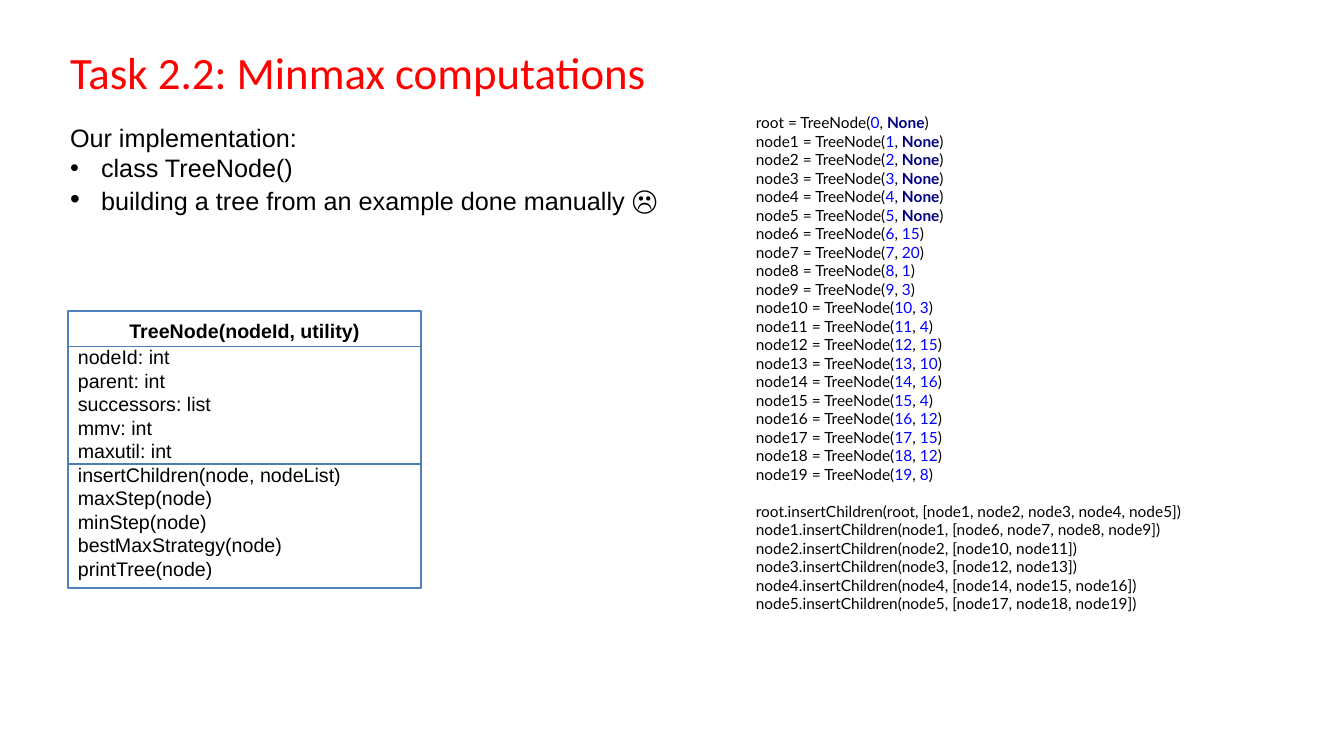
from itertools import accumulate
from lxml import etree
from pptx import Presentation
from pptx.dml.color import RGBColor
from pptx.enum.shapes import MSO_CONNECTOR as CONN, MSO_SHAPE as SHAPE
from pptx.enum.text import MSO_ANCHOR as ANCHOR, MSO_AUTO_SIZE as AUTO, PP_ALIGN as ALIGN
from pptx.oxml.ns import qn
from pptx.util import Emu, Pt

PX = 914400 / 100.8
COLORS = {"title": "FF0000", "text": "000000", "paper": "FFFFFF", "border": "4F81BD",
          "divider": "4A7DBA", "number": "0000FF", "keyword": "000080"}
TITLE_FMT = {"name": "Calibri", "size": Pt(32), "bold": False}
LIST_FMT = {"name": "Arial", "size": Pt(18)}
UML_FMT = {"name": "Arial", "size": Pt(14)}
CODE_FMT = {"name": "Lato", "size": Pt(11)}

ATTRIBUTES = ["nodeId: int", "parent: int", "successors: list", "mmv: int", "maxutil: int"]
METHODS = ["insertChildren(node, nodeList)", "maxStep(node)", "minStep(node)",
           "bestMaxStrategy(node)", "printTree(node)"]
UTILITIES = ["None"] * 6 + [15, 20, 1, 3, 3, 4, 15, 10, 16, 4, 12, 15, 12, 8]
CHILD_COUNTS = [5, 4, 2, 2, 3, 3]


def px(n):
    return Emu(round(n * PX))


def rgb(name):
    return RGBColor.from_string(COLORS[name])


def place(sp, box):
    for attr, n in zip(("left", "top", "width", "height"), box):
        setattr(sp, attr, px(n))


def add_run(p, text, fmt, color="text", **extra):
    r = p.add_run()
    r.text = text
    for attr, value in {**fmt, **extra}.items():
        setattr(r.font, attr, value)
    r.font.color.rgb = rgb(color)


def next_paragraph(tf, first, align=ALIGN.LEFT, before=0):
    p = tf.paragraphs[0] if first else tf.add_paragraph()
    for attr, value in {"alignment": align, "space_before": Pt(before)}.items():
        setattr(p, attr, value)
    return p


def set_bullet(p, char=None, indent=0, size=100):
    pPr = p._p.get_or_add_pPr()
    pPr.set("marL", str(px(indent)))
    pPr.set("indent", str(-px(indent)))
    if char:
        etree.SubElement(pPr, qn("a:buSzPct")).set("val", str(size * 1000))
        etree.SubElement(pPr, qn("a:buFont")).set("typeface", "Arial")
        etree.SubElement(pPr, qn("a:buChar")).set("char", char)
    else:
        etree.SubElement(pPr, qn("a:buNone"))


def add_panel(shapes, kind, box, line=None):
    sp = shapes.add_shape(kind, *map(px, box))
    sp.shadow.inherit = False
    sp.fill.solid()
    sp.fill.fore_color.rgb = rgb("paper")
    if line:
        sp.line.color.rgb = rgb(line)
        sp.line.width = Pt(2)
    else:
        sp.line.fill.background()
    tf = sp.text_frame
    tf.word_wrap, tf.vertical_anchor = True, ANCHOR.MIDDLE
    return tf


def add_title(s, box):
    place(s.shapes.title, box)
    tf = s.shapes.title.text_frame
    for attr, value in {"auto_size": AUTO.NONE, "vertical_anchor": ANCHOR.MIDDLE,
                        "margin_bottom": px(34)}.items():
        setattr(tf, attr, value)
    add_run(next_paragraph(tf, True), "Task 2.2: Minmax computations", TITLE_FMT, "title")


def add_summary(s, box):
    sp = s.placeholders[1]
    place(sp, box)
    tf = sp.text_frame
    tf.auto_size = AUTO.NONE
    items = [("Our implementation:", None, 0, 100),
             ("class TreeNode()", "•", 31, 100),
             ("building a tree from an example done manually ", "•", 31, 111)]
    for i, (text, *bullet) in enumerate(items):
        p = next_paragraph(tf, i == 0)
        set_bullet(p, *bullet)
        add_run(p, text, LIST_FMT)
    add_run(p, "☹", LIST_FMT, size=Pt(20))


def add_class_diagram(s, box):
    left, top, width, _ = box
    grp = s.shapes.add_group_shape().shapes
    tf = add_panel(grp, SHAPE.FLOWCHART_PROCESS, box, "border")
    add_run(next_paragraph(tf, True, ALIGN.CENTER), "TreeNode(nodeId, utility)", UML_FMT, bold=True)
    # Space above the first attribute keeps it clear of the divider
    for i, member in enumerate(ATTRIBUTES + METHODS):
        add_run(next_paragraph(tf, False, before=2 if i == 0 else 0), member, UML_FMT)
    # Dividers below the class name and the attributes
    for dy in (36, 153):
        y = px(top + dy)
        line = grp.add_connector(CONN.STRAIGHT, px(left), y, px(left + width), y)
        line.line.color.rgb = rgb("divider")
        line.line.width = Pt(0.75)
        etree.SubElement(line._element.spPr, qn("a:effectLst"))


def add_code(s, box):
    tf = add_panel(s.shapes, SHAPE.RECTANGLE, box)
    names = ["root"] + [f"node{i}" for i in range(1, len(UTILITIES))]
    # Node definitions
    for i, (name, utility) in enumerate(zip(names, UTILITIES)):
        p = next_paragraph(tf, i == 0)
        is_none = utility == "None"
        add_run(p, f"{name} = TreeNode(", CODE_FMT)
        add_run(p, str(i), CODE_FMT, "number")
        add_run(p, ", ", CODE_FMT)
        add_run(p, str(utility), CODE_FMT, "keyword" if is_none else "number", bold=is_none)
        add_run(p, ")", CODE_FMT)
    # Children are numbered level by level
    for i, (start, count) in enumerate(zip(accumulate(CHILD_COUNTS, initial=1), CHILD_COUNTS)):
        children = ", ".join(names[start:start + count])
        p = next_paragraph(tf, False, before=13.2 if i == 0 else 0)
        add_run(p, f"{names[i]}.insertChildren({names[i]}, [{children}])", CODE_FMT)


def main():
    prs = Presentation()
    prs.slide_width, prs.slide_height = px(1344), px(756)
    s = prs.slides.add_slide(prs.slide_layouts[1])
    add_title(s, (60, 33, 1247, 107))
    add_class_diagram(s, (68, 311, 353, 277))
    add_summary(s, (60, 117, 612, 105))
    add_code(s, (746, 106, 551, 514))
    prs.save("out.pptx")


if __name__ == "__main__":
    main()
